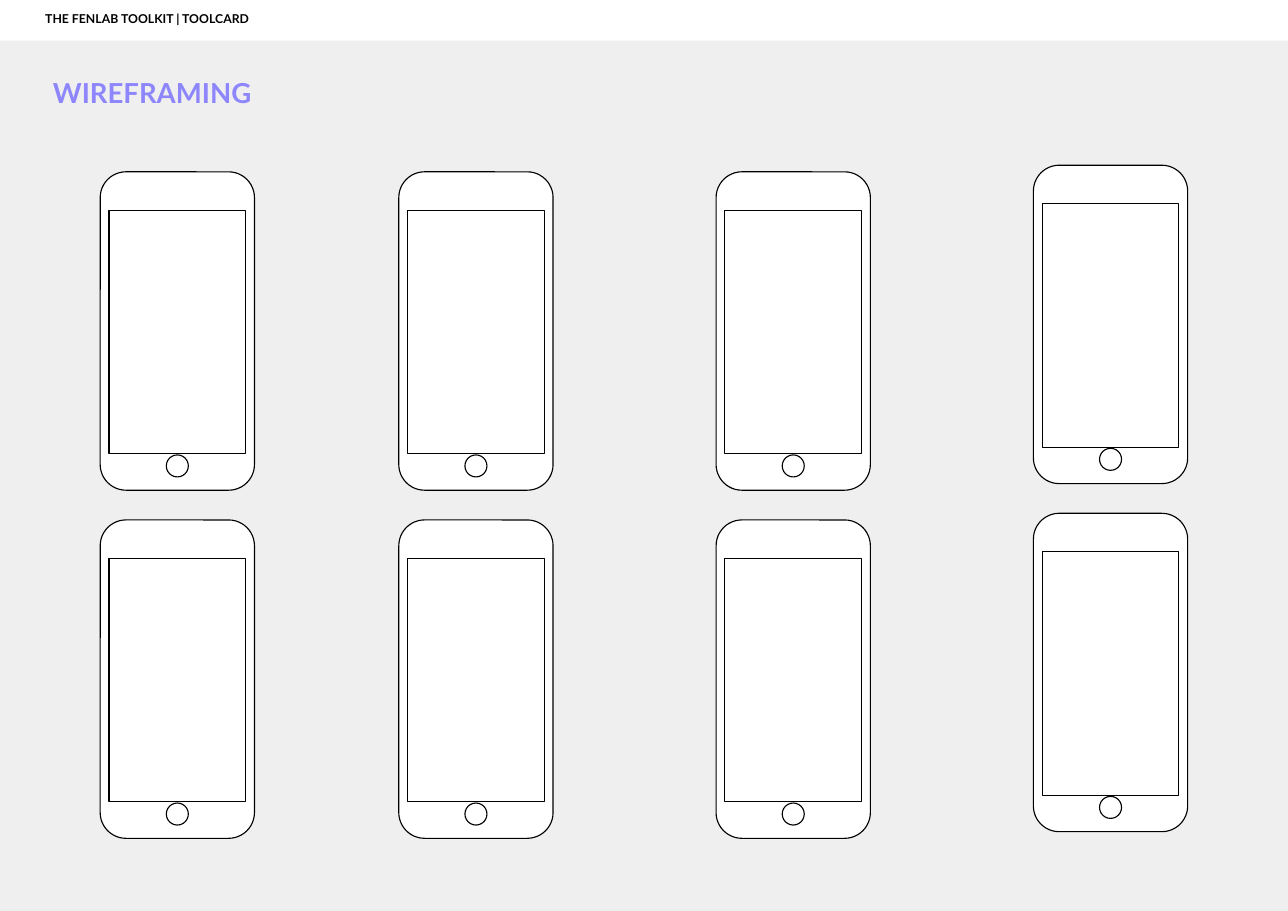
import pptx
import pptx.util
import pptx.dml.color
import pptx.enum.shapes
import pptx.enum.text

Inches = pptx.util.Inches
Pt = pptx.util.Pt
SHAPE = pptx.enum.shapes.MSO_SHAPE
RGBColor = pptx.dml.color.RGBColor

BLACK = RGBColor(0x00, 0x00, 0x00)
WHITE = RGBColor(0xFF, 0xFF, 0xFF)
GREY = RGBColor(0xEF, 0xEF, 0xEF)
PURPLE = RGBColor(0x8D, 0x86, 0xFC)


def add_shape(parent, kind, left, top, width, height, fill=None, line=None):
    s = parent.add_shape(kind, Inches(left), Inches(top), Inches(width), Inches(height))
    s.shadow.inherit = False
    if fill is None:
        s.fill.background()
    else:
        s.fill.solid()
        s.fill.fore_color.rgb = fill
    if line is None:
        s.line.fill.background()
    else:
        s.line.color.rgb = line
        s.line.width = Pt(0.75)
    return s


def set_text(s, text, left, size, color):
    tf = s.text_frame
    tf.word_wrap = True
    tf.vertical_anchor = pptx.enum.text.MSO_ANCHOR.TOP
    tf.margin_left = Inches(left)
    tf.margin_right = tf.margin_top = tf.margin_bottom = Inches(0.1)
    tf.text = text
    p = tf.paragraphs[0]
    p.alignment = pptx.enum.text.PP_ALIGN.LEFT
    font = p.runs[0].font
    font.name = "Lato"
    font.size = Pt(size)
    font.bold = True
    font.color.rgb = color


prs = pptx.Presentation()
prs.slide_width = Inches(11.69)
prs.slide_height = Inches(8.27)
slide = prs.slides.add_slide(prs.slide_layouts[6])

# Grey page
add_shape(slide.shapes, SHAPE.RECTANGLE, 0, 0, 11.69, 8.27, GREY)

# Title
title = slide.shapes.add_textbox(0, Inches(0.59), Inches(6.64), Inches(0.51))
set_text(title, "WIREFRAMING", 0.48, 18, PURPLE)

# Two rows of phones; the last column sits slightly higher
for row_top in (1.56, 4.72):
    for left, rise in ((0.91, 0), (3.62, 0), (6.5, 0), (9.38, 0.06)):
        top = row_top - rise
        phone = slide.shapes.add_group_shape().shapes
        body = add_shape(phone, SHAPE.ROUNDED_RECTANGLE, left, top, 1.4, 2.89, WHITE, BLACK)
        body.adjustments[0] = 0.167
        add_shape(phone, SHAPE.RECTANGLE, left + 0.08, top + 0.35, 1.24, 2.21, WHITE, BLACK)
        add_shape(phone, SHAPE.OVAL, left + 0.6, top + 2.57, 0.2, 0.2, line=BLACK)

# Header band
header = add_shape(slide.shapes, SHAPE.RECTANGLE, 0, 0, 11.69, 0.37, WHITE)
set_text(header, "THE FENLAB TOOLKIT | TOOLCARD", 0.41, 8, BLACK)

prs.save("out.pptx")
